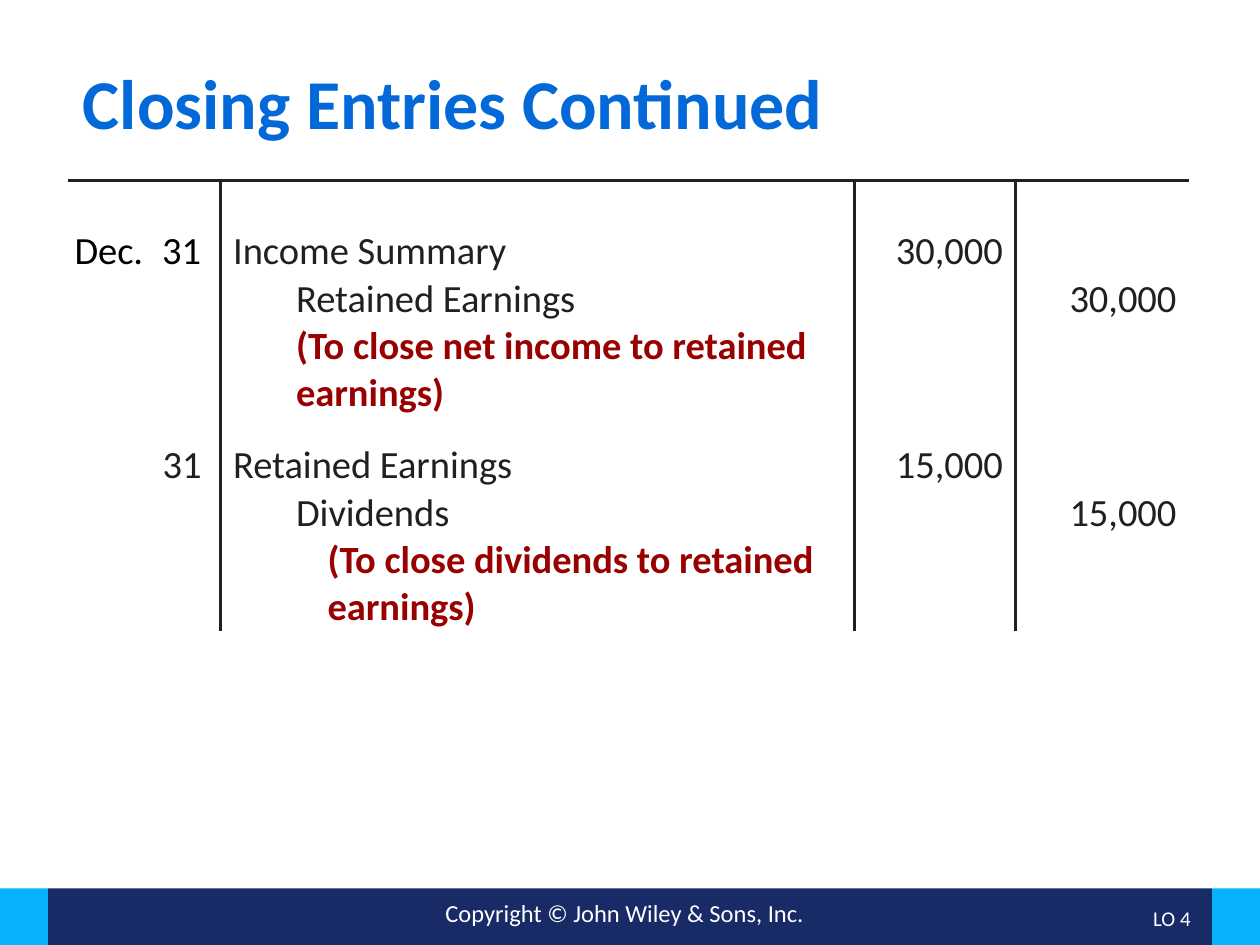
from lxml.etree import SubElement
from pptx import Presentation
from pptx.dml.color import RGBColor
from pptx.enum.shapes import MSO_SHAPE
from pptx.enum.text import MSO_ANCHOR as ANCHOR, PP_ALIGN as ALIGN
from pptx.oxml.ns import qn
from pptx.util import Pt

WHITE = RGBColor(0xFF, 0xFF, 0xFF)
BLACK = RGBColor(0, 0, 0)
INK = RGBColor(0x23, 0x1F, 0x20)
RED = RGBColor(0x99, 0, 0)
BLUE = RGBColor(0x04, 0x69, 0xD8)
NAVY = RGBColor(0x19, 0x2B, 0x67)
CYAN = RGBColor(0x06, 0xB2, 0xFA)

FONT = "Calibri"
TITLE = "Closing Entries Continued"
COPYRIGHT = "Copyright © John Wiley & Sons, Inc."
OBJECTIVE = "LO 4"

# Journal: date, account, debit, credit, account indent, explanation?, row height
JOURNAL = [
    ("Dec.\t31", "Income Summary", "30,000", "", 0, False, 54.25),
    ("", "Retained Earnings", "", "30,000", 36, False, 27),
    ("", "(To close net income to retained earnings)", "", "", 36, True, 54),
    ("31", "Retained Earnings", "15,000", "", 0, False, 41.25),
    ("", "Dividends", "", "15,000", 36, False, 27),
    ("", "(To close dividends to retained earnings)", "", "", 54, True, 54),
]
COL_WIDTHS = [87, 362.25, 92, 99.25]
COL_MARGINS = [(3.6, 10.8), (7.2, 0), (0, 7.2), (0, 7.2)]  # left, right
TABLE_LEFT, TABLE_TOP = 39, 103
DATE_TAB = 50
RULE_WIDTH = 2.25

SLIDE_W, SLIDE_H = 720, 540
BAR_TOP, END_W = 507.6, 27.4


def write(tf, text, size, color, bold=False, align=ALIGN.LEFT,
          anchor=ANCHOR.TOP, spacing=None, tab=None):
    tf.vertical_anchor = anchor
    p = tf.paragraphs[0]
    p.alignment = align
    if spacing:
        p.line_spacing = spacing
    if tab:
        tabs = SubElement(p._p.get_or_add_pPr(), qn("a:tabLst"))
        SubElement(tabs, qn("a:tab"), pos=str(Pt(tab)), algn="l")
    font = p.font
    if text:
        r = p.add_run()
        r.text = text
        font = r.font
    font.name, font.size, font.bold = FONT, Pt(size), bold
    font.color.rgb = color
    return p


def add_text(box, text, size, color, **style):
    tf = s.shapes.add_textbox(*map(Pt, box)).text_frame
    tf.word_wrap = True
    write(tf, text, size, color, **style)


def set_borders(cell, ruled):
    """Rule the named sides of a cell and clear the others."""
    tcPr = cell._tc.get_or_add_tcPr()
    for side in "LRTB":
        ln = SubElement(tcPr, qn("a:ln" + side), w=str(Pt(RULE_WIDTH)))
        if side in ruled:
            fill = SubElement(ln, qn("a:solidFill"))
            SubElement(fill, qn("a:srgbClr"), val=str(INK))
        else:
            SubElement(ln, qn("a:noFill"))


prs = Presentation()
prs.slide_width, prs.slide_height = Pt(SLIDE_W), Pt(SLIDE_H)
s = prs.slides.add_slide(prs.slide_layouts[6])

# Footer bar with bright ends
for left, width, color in [(END_W, SLIDE_W - 2 * END_W, NAVY),
                           (0, END_W, CYAN),
                           (SLIDE_W - END_W, END_W, CYAN)]:
    bar = s.shapes.add_shape(MSO_SHAPE.RECTANGLE, Pt(left), Pt(BAR_TOP),
                             Pt(width), Pt(SLIDE_H - BAR_TOP))
    bar.shadow.inherit = False
    bar.fill.solid()
    bar.fill.fore_color.rgb = color
    bar.line.fill.background()

# Footer text and title
add_text((180, 509.75, 354, 24.5), COPYRIGHT, 14, WHITE, align=ALIGN.CENTER)
add_text((628.5, 511, 59, 29), OBJECTIVE, 12, WHITE, align=ALIGN.RIGHT,
         anchor=ANCHOR.MIDDLE, spacing=0.9)
add_text((40.3, 36, 639.4, 67), TITLE, 40, BLUE, bold=True, spacing=0.9)

# Journal table
table = s.shapes.add_table(
    len(JOURNAL), len(COL_WIDTHS), Pt(TABLE_LEFT), Pt(TABLE_TOP),
    Pt(sum(COL_WIDTHS)), Pt(sum(row[-1] for row in JOURNAL))).table
table.first_row = table.horz_banding = False
for col, width in zip(table.columns, COL_WIDTHS):
    col.width = Pt(width)

for i, (*texts, indent, explains, height) in enumerate(JOURNAL):
    table.rows[i].height = Pt(height)
    for j, text in enumerate(texts):
        cell = table.cell(i, j)
        cell.margin_left, cell.margin_right = map(Pt, COL_MARGINS[j])
        cell.margin_top = cell.margin_bottom = 0
        tabbed = "\t" in text
        color = BLACK if tabbed else RED if explains else INK
        p = write(cell.text_frame, text, 22, color, bold=explains,
                  align=ALIGN.LEFT if j == 1 or tabbed else ALIGN.RIGHT,
                  tab=DATE_TAB if tabbed else None)
        cell.vertical_anchor = ANCHOR.BOTTOM
        if j == 1 and indent:
            p._p.get_or_add_pPr().set("marL", str(Pt(indent)))
        set_borders(cell, ("L" if j > 0 else "")
                    + ("R" if j < len(texts) - 1 else "")
                    + ("T" if i == 0 else ""))
        cell.fill.solid()
        cell.fill.fore_color.rgb = WHITE

prs.save("out.pptx")
